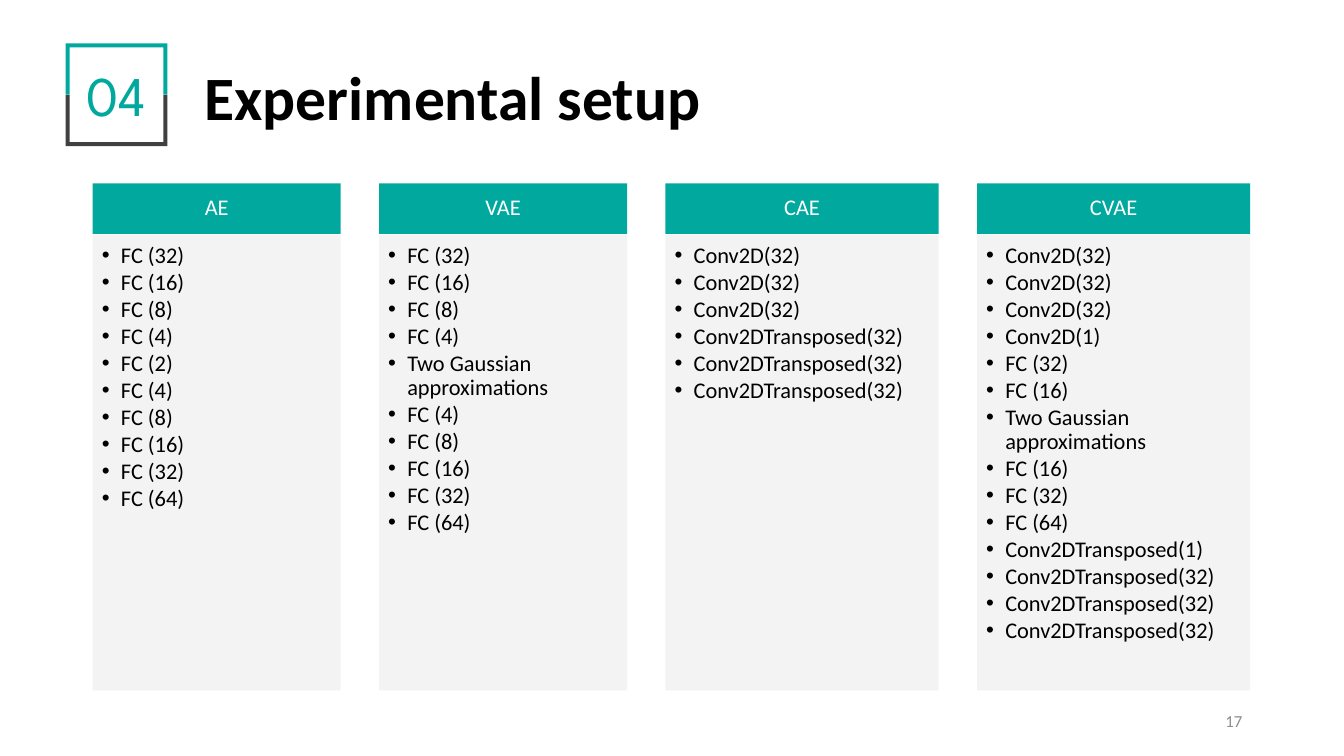
from dataclasses import dataclass

from lxml import etree
from pptx import Presentation
from pptx.dml.color import RGBColor
from pptx.enum import shapes, text
from pptx.oxml import ns
from pptx.util import Inches, Pt


@dataclass(frozen=True)
class Theme:
    teal: RGBColor = RGBColor(0x01, 0xA8, 0x9E)
    dark: RGBColor = RGBColor(0x40, 0x40, 0x40)
    panel: RGBColor = RGBColor(0xF2, 0xF2, 0xF2)
    black: RGBColor = RGBColor(0, 0, 0)
    white: RGBColor = RGBColor(0xFF, 0xFF, 0xFF)
    gray: RGBColor = RGBColor(0x8C, 0x8C, 0x8C)
    body_font: str = "Calibri"
    number_font: str = "League Spartan"
    title_size: Pt = Pt(44)
    number_size: Pt = Pt(40)
    body_size: Pt = Pt(16)
    footer_size: Pt = Pt(12)


theme = Theme()


def style(para, size, color, align, name=theme.body_font, bold=False):
    para.alignment = align
    para.font.size = size
    para.font.name = name
    para.font.bold = bold
    para.font.color.rgb = color


def paint(shape, color):
    shape.shadow.inherit = False
    shape.fill.solid()
    shape.fill.fore_color.rgb = color
    shape.line.fill.background()


LEFT, CENTER, RIGHT = text.PP_ALIGN.LEFT, text.PP_ALIGN.CENTER, text.PP_ALIGN.RIGHT
MIDDLE, TOP = text.MSO_ANCHOR.MIDDLE, text.MSO_ANCHOR.TOP

deck = Presentation()
deck.slide_width, deck.slide_height = Inches(13.33), Inches(7.5)
page = deck.slides.add_slide(deck.slide_layouts[5])

title = page.shapes.title
title.left, title.top = Inches(1.93), Inches(0.27)
title.width, title.height = Inches(10.76), Inches(1.45)
title.text_frame.text = "Experimental setup"
title.text_frame.auto_size = text.MSO_AUTO_SIZE.NONE
title.text_frame.vertical_anchor = MIDDLE
title.text_frame.paragraphs[0].line_spacing = 0.9
style(title.text_frame.paragraphs[0], theme.title_size, theme.black, LEFT, bold=True)

frame_left, frame_right, frame_middle, frame_half, stroke = 0.65, 1.66, 0.94, 0.51, 0.04
for direction, color in [(1, theme.dark), (-1, theme.teal)]:
    outer = frame_middle + direction * frame_half
    inner = outer - direction * stroke
    points = [
        (frame_left, frame_middle), (frame_left + stroke, frame_middle),
        (frame_left + stroke, inner), (frame_right - stroke, inner),
        (frame_right - stroke, frame_middle), (frame_right, frame_middle),
        (frame_right, outer), (frame_left, outer),
    ]
    corners = [(Inches(x), Inches(y)) for x, y in points]
    builder = page.shapes.build_freeform(*corners[0])
    builder.add_line_segments(corners[1:], close=True)
    paint(builder.convert_to_shape(), color)

number = page.shapes.add_textbox(Inches(0.65), Inches(0.55), Inches(1.01), Inches(0.77))
number.text_frame.word_wrap = True
number.text_frame.text = "04"
style(number.text_frame.paragraphs[0], theme.number_size, theme.teal, CENTER, theme.number_font)

models = [
    ("AE", 2.46, ["FC (32)", "FC (16)", "FC (8)", "FC (4)", "FC (2)", "FC (4)",
                  "FC (8)", "FC (16)", "FC (32)", "FC (64)"]),
    ("VAE", 2.46, ["FC (32)", "FC (16)", "FC (8)", "FC (4)", "Two Gaussian approximations",
                   "FC (4)", "FC (8)", "FC (16)", "FC (32)", "FC (64)"]),
    ("CAE", 2.71, ["Conv2D(32)"] * 3 + ["Conv2DTransposed(32)"] * 3),
    ("CVAE", 2.71, ["Conv2D(32)"] * 3 + ["Conv2D(1)", "FC (32)", "FC (16)",
                    "Two Gaussian approximations", "FC (16)", "FC (32)", "FC (64)",
                    "Conv2DTransposed(1)"] + ["Conv2DTransposed(32)"] * 3),
]
column_left, column_gap = 0.92, 0.38

for model, width, layers in models:
    header = page.shapes.add_shape(
        shapes.MSO_SHAPE.RECTANGLE, Inches(column_left), Inches(1.82), Inches(width), Inches(0.5))
    paint(header, theme.teal)
    header.text_frame.text = model
    header.text_frame.vertical_anchor = MIDDLE
    header.text_frame.paragraphs[0].line_spacing = 0.9
    style(header.text_frame.paragraphs[0], theme.body_size, theme.white, CENTER)

    panel = page.shapes.add_shape(
        shapes.MSO_SHAPE.RECTANGLE, Inches(column_left), Inches(2.33), Inches(width), Inches(4.52))
    paint(panel, theme.panel)
    panel_color = panel.fill._xPr.find(".//" + ns.qn("a:srgbClr"))
    etree.SubElement(panel_color, ns.qn("a:alpha"), val="90000")
    frame = panel.text_frame
    frame.word_wrap = True
    frame.vertical_anchor = TOP
    frame.margin_left = frame.margin_top = Inches(0.09)
    frame.margin_right, frame.margin_bottom = Inches(0.12), Inches(0.14)
    frame.text = "\n".join(layers)
    for para in frame.paragraphs:
        para.level = 1
        para.line_spacing = 0.9
        para.space_after = Pt(2)
        properties = para._p.get_or_add_pPr()
        properties.set("marL", str(Inches(0.19)))
        properties.set("indent", str(-Inches(0.19)))
        etree.SubElement(properties, ns.qn("a:buFont"), typeface="Arial")
        etree.SubElement(properties, ns.qn("a:buChar"), char="•")
        style(para, theme.body_size, theme.black, LEFT)

    column_left += width + column_gap

page_number = page.shapes.add_textbox(Inches(9.42), Inches(6.95), Inches(3), Inches(0.4))
page_number.text_frame.word_wrap = True
page_number.text_frame.vertical_anchor = MIDDLE
page_number.text_frame.text = "17"
style(page_number.text_frame.paragraphs[0], theme.footer_size, theme.gray, RIGHT)

deck.save("out.pptx")
